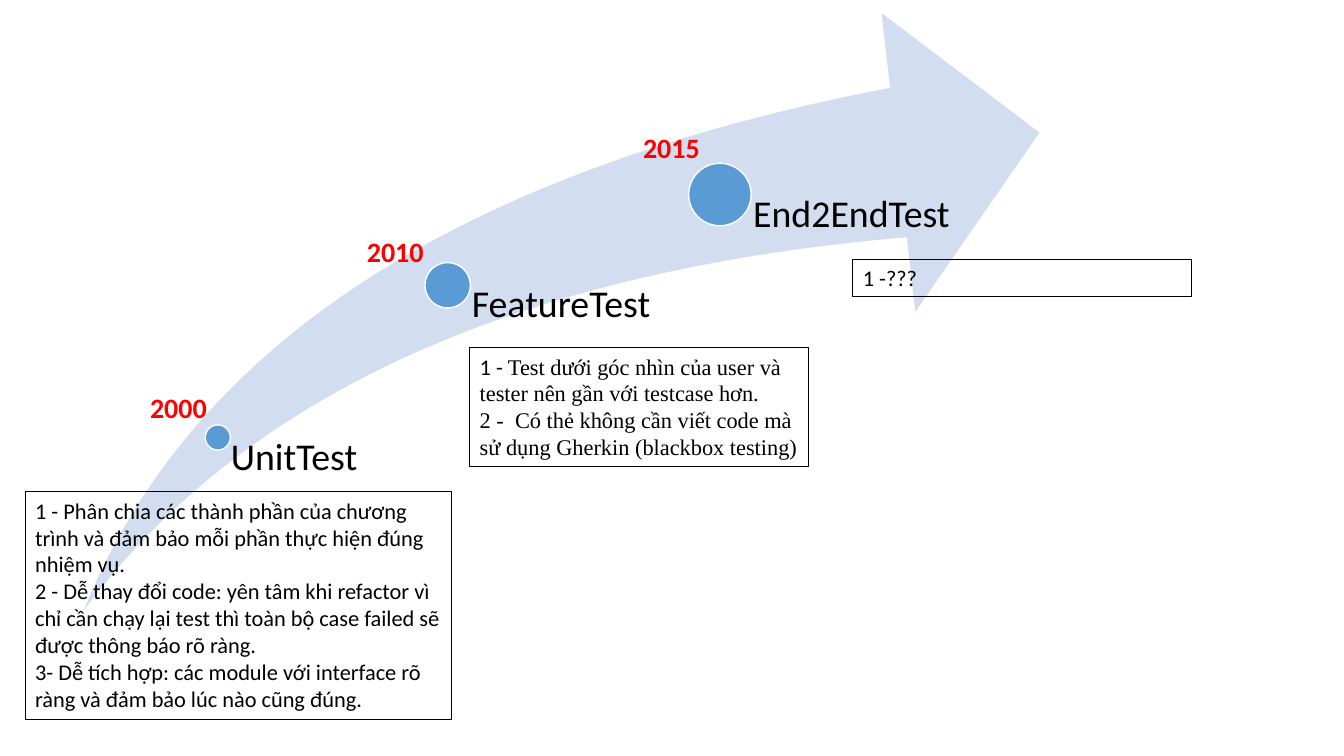
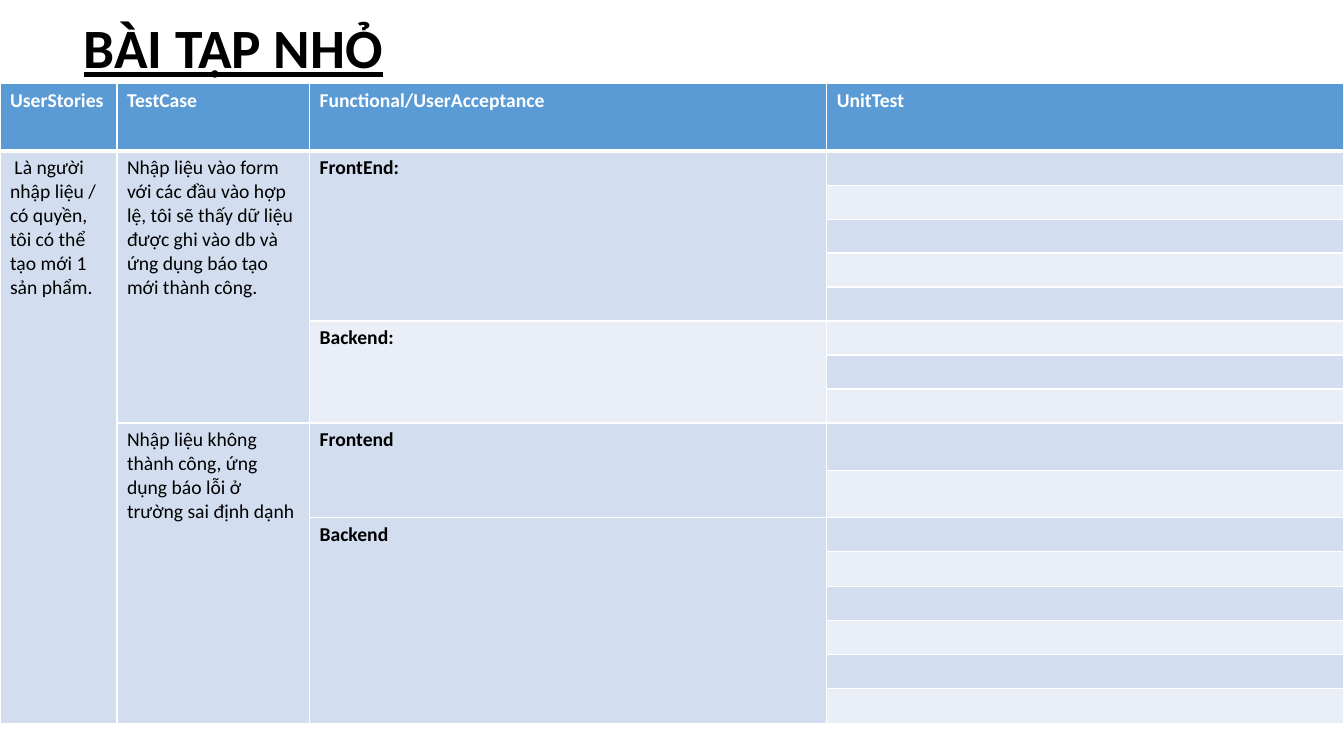
"""Build a test history slide and an exercise table slide."""
from lxml import etree
from pptx import Presentation
from pptx import util as u
from pptx.dml import color
from pptx.enum import shapes, text
from pptx.oxml import ns

HUES = {
    "ink": "000000",
    "paper": "FFFFFF",
    "blue": "5B9BD5",
    "pale": "D2DEEF",
    "mist": "EAEFF7",
    "red": "FF0000",
}
FONT = "Calibri"
SERIF = "Times New Roman"


def hue(name):
    return color.RGBColor.from_string(HUES[name])


class Deck:
    def __init__(self):
        self.prs = Presentation()
        self.prs.slide_width = u.Inches(13.33)
        self.prs.slide_height = u.Inches(7.5)
        self.slide = None

    def page(self, layout):
        self.slide = self.prs.slides.add_slide(self.prs.slide_layouts[layout])

    def style(self, run, size, ink="ink", bold=False, face=FONT):
        run.font.size = u.Pt(size)
        run.font.name = face
        run.font.bold = bold
        run.font.color.rgb = hue(ink)

    def title(self, words, box):
        shape = self.slide.shapes.title
        shape.left, shape.top, shape.width, shape.height = map(u.Inches, box)
        frame = shape.text_frame
        frame.text = words
        frame.auto_size = text.MSO_AUTO_SIZE.NONE
        frame.vertical_anchor = text.MSO_ANCHOR.MIDDLE
        para = frame.paragraphs[0]
        para.alignment = text.PP_ALIGN.LEFT
        para.line_spacing = 0.9
        self.style(para.runs[0], 39.6, bold=True)
        para.runs[0].font.underline = True

    def shape(self, kind, box, fill, edge=None):
        shape = self.slide.shapes.add_shape(kind, *map(u.Inches, box))
        shape.shadow.inherit = False
        shape.fill.solid()
        shape.fill.fore_color.rgb = hue(fill)
        if edge:
            shape.line.color.rgb = hue(edge)
            shape.line.width = u.Pt(1)
        else:
            shape.line.fill.background()
        return shape

    def swoosh(self, box):
        arrow = self.shape(shapes.MSO_SHAPE.SWOOSH_ARROW, box, "pale")
        arrow.adjustments[0] = arrow.adjustments[1] = 0.25

    def words(self, box, paras, size, ink="ink", bold=False):
        shape = self.slide.shapes.add_textbox(*map(u.Inches, box))
        frame = shape.text_frame
        frame.word_wrap = True
        frame.auto_size = text.MSO_AUTO_SIZE.SHAPE_TO_FIT_TEXT
        for i, parts in enumerate(paras):
            para = frame.add_paragraph() if i else frame.paragraphs[0]
            for part, face in parts:
                run = para.add_run()
                run.text = part
                self.style(run, size, ink, bold, face)
        return shape

    def note(self, box, paras):
        shape = self.words(box, paras, 16)
        shape.line.color.rgb = hue("ink")
        shape.line.width = u.Pt(0.75)

    def stage(self, name, x, y, size, inset, floor):
        dot = (x - size / 2, y - size / 2, size, size)
        self.shape(shapes.MSO_SHAPE.OVAL, dot, "blue", "paper")
        label = self.words((x, y, 2.28, floor - y), [[(name, FONT)]], 27)
        frame = label.text_frame
        frame.word_wrap = False
        frame.auto_size = text.MSO_AUTO_SIZE.NONE
        frame.margin_left = u.Inches(inset)
        frame.margin_right = frame.margin_top = frame.margin_bottom = 0
        frame.paragraphs[0].line_spacing = 0.9

    def year(self, name, x, y):
        self.words((x, y, 0.87, 0.44), [[(name, FONT)]], 20, "red", True)

    def border(self, cell, head):
        props = cell._tc.get_or_add_tcPr()
        for side in "LRTB":
            width = 3 if head and side == "B" else 1
            line = etree.SubElement(props, ns.qn("a:ln" + side), w=str(u.Pt(width)))
            fill = etree.SubElement(line, ns.qn("a:solidFill"))
            etree.SubElement(fill, ns.qn("a:srgbClr"), val=HUES["paper"])

    def cell(self, cell, words, fill, head, bold):
        self.border(cell, head)
        cell.fill.solid()
        cell.fill.fore_color.rgb = hue(fill)
        para = cell.text_frame.paragraphs[0]
        if words:
            para.text = words
            self.style(para.runs[0], 14, "paper" if head else "ink", bold)
        else:
            etree.SubElement(para._p, ns.qn("a:endParaRPr"), sz="1400")

    def table(self, box, cols, rows, heads, spans):
        frame = self.slide.shapes.add_table(len(rows), len(cols), *map(u.Inches, box))
        grid = frame.table
        grid.horz_banding = False
        for col, width in zip(grid.columns, cols):
            col.width = u.Inches(width)
        for row, height in zip(grid.rows, rows):
            row.height = u.Inches(height)
        starts = {(r, c): (words, fill) for r, c, _, words, fill in spans}
        last = len(cols) - 1
        for r in range(len(rows)):
            for c in range(len(cols)):
                if r == 0:
                    words, fill = heads[c], "blue"
                else:
                    band = "pale" if c < last or r % 2 else "mist"
                    words, fill = starts.get((r, c), ("", band))
                self.cell(grid.cell(r, c), words, fill, r == 0, r == 0 or c == 2)
        for r, c, count, _, _ in spans:
            grid.cell(r, c).merge(grid.cell(r + count - 1, c))


def history(deck):
    deck.page(6)
    deck.swoosh((0.83, 0.13, 9.48, 5.93))
    for name, x, y, size, inset in (
        ("UnitTest", 2.16, 4.34, 0.25, 0.13),
        ("FeatureTest", 4.44, 2.83, 0.45, 0.24),
        ("End2EndTest", 7.14, 1.93, 0.62, 0.33),
    ):
        deck.stage(name, x, y, size, inset, 6.05)
    for name, x, y in (("2000", 1.39, 3.82), ("2010", 3.54, 2.28), ("2015", 6.28, 1.25)):
        deck.year(name, x, y)
    deck.note((0.25, 4.88, 4.23, 2.26), [
        [("1 - Phân chia các thành phần của chương trình và đảm bảo mỗi phần "
          "thực hiện đúng nhiệm vụ.", FONT)],
        [("2 - Dễ thay đổi code: yên tâm khi refactor vì chỉ cần chạy lại test "
          "thì toàn bộ case failed sẽ được thông báo rõ ràng.", FONT)],
        [("3- Dễ tích hợp: các module với interface rõ ràng và đảm bảo lúc nào "
          "cũng đúng.", FONT)],
    ])
    deck.note((4.66, 3.45, 3.36, 1.18), [
        [("1 - ", FONT),
         ("Test dưới góc nhìn của user và tester nên gần với testcase hơn.", SERIF)],
        [("2 -  Có thẻ không cần viết code mà sử dụng Gherkin (blackbox testing)", SERIF)],
    ])
    deck.note((8.46, 2.57, 3.36, 0.37), [[("1 -???", FONT)]])


def lesson(deck):
    deck.page(5)
    deck.title("BÀI TẬP NHỎ", (0.73, 0.28, 11.5, 0.45))
    deck.table(
        (0, 0.83, 13.33, 6.31),
        (1.16, 1.91, 5.13, 5.13),
        [0.67] + [0.3] * 8 + [0.47] * 2 + [0.34] * 6,
        ("UserStories", "TestCase", "Functional/UserAcceptance", "UnitTest"),
        (
            (1, 0, 16, " Là người nhập liệu / có quyền, tôi có thể tạo mới 1 sản phẩm.", "pale"),
            (1, 1, 8, "Nhập liệu vào form với các đầu vào hợp lệ, tôi sẽ thấy dữ liệu "
             "được ghi vào db và ứng dụng báo tạo mới thành công.", "pale"),
            (9, 1, 8, "Nhập liệu không thành công, ứng dụng báo lỗi ở trường sai "
             "định dạnh", "pale"),
            (1, 2, 5, "FrontEnd:", "pale"),
            (6, 2, 3, "Backend:", "mist"),
            (9, 2, 2, "Frontend", "pale"),
            (11, 2, 6, "Backend", "pale"),
        ),
    )


def main():
    deck = Deck()
    history(deck)
    lesson(deck)
    deck.prs.save("out.pptx")


if __name__ == "__main__":
    main()
